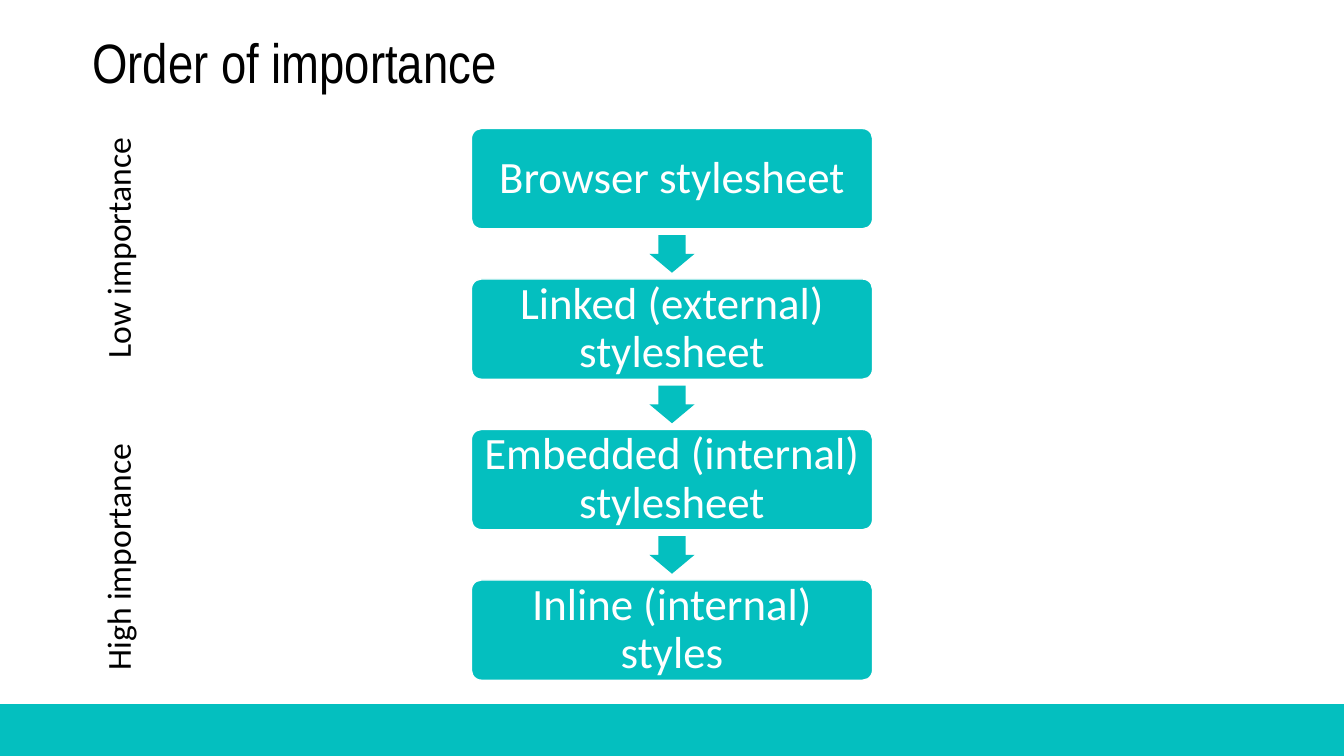
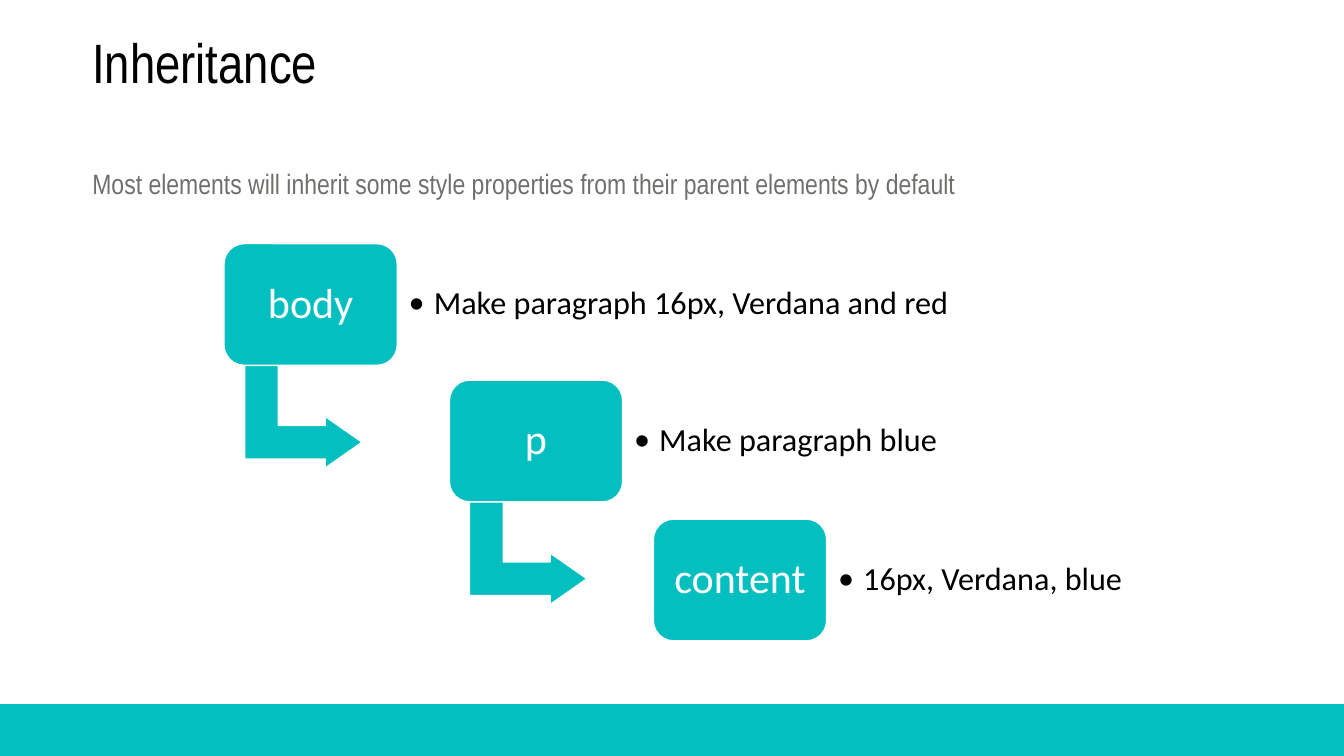
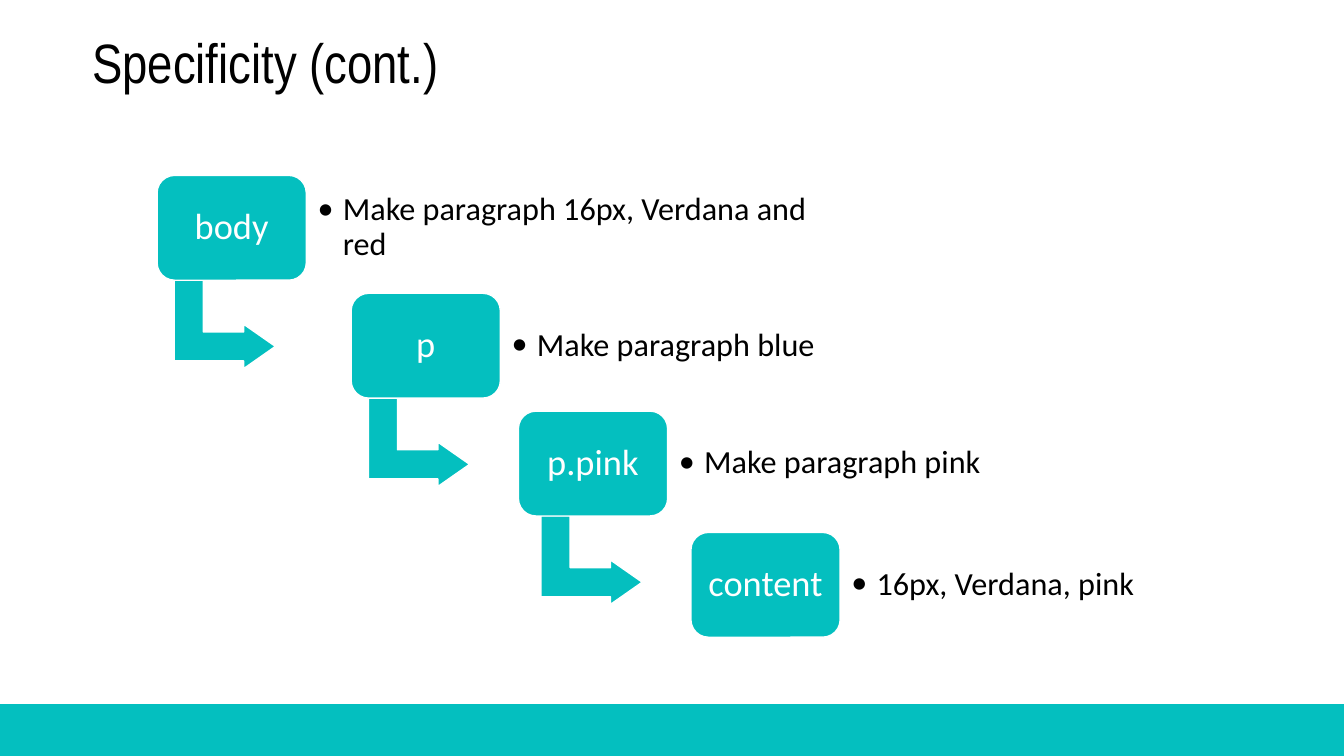
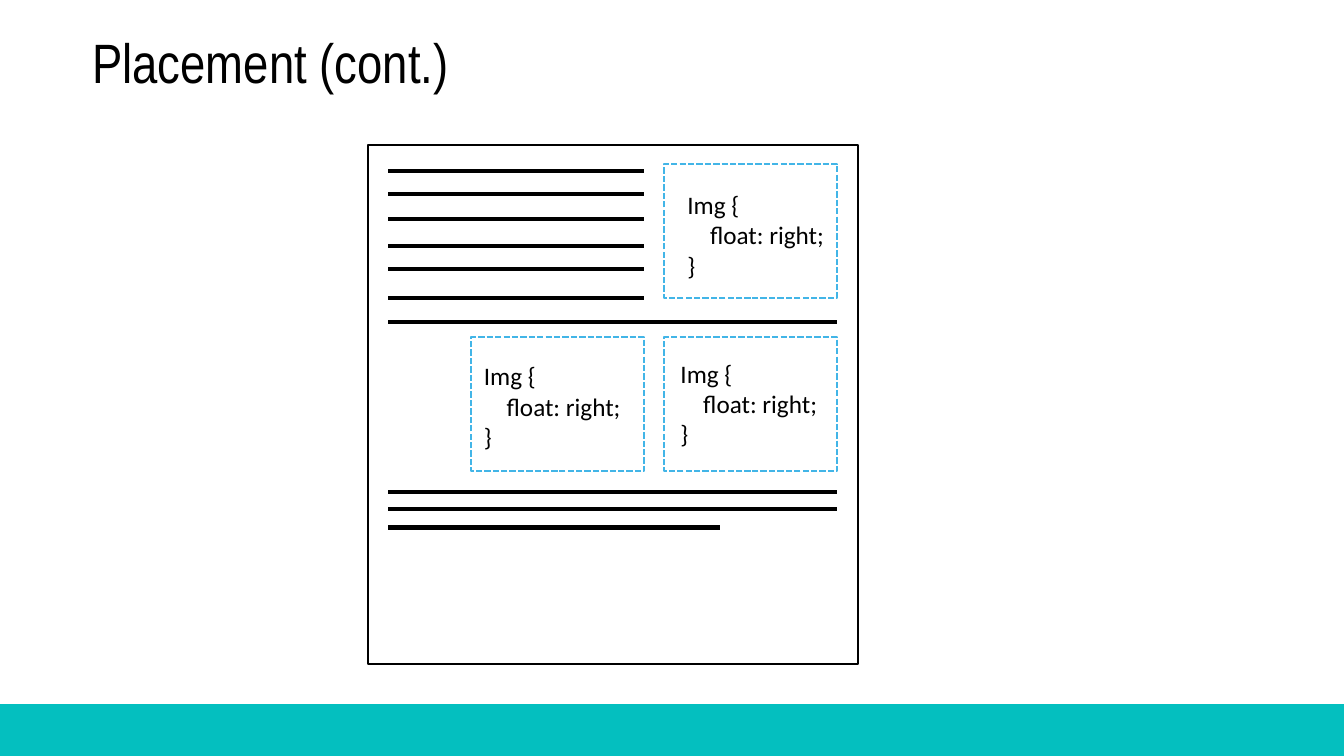
"""Build four slides on stylesheet order, inheritance, specificity and placement."""
from lxml import etree
from pptx import Presentation
from pptx.dml.color import RGBColor
from pptx.enum import dml, shapes, text
from pptx.oxml import ns
from pptx.util import Pt

TEAL = RGBColor(0x04, 0xBF, 0xBF)
SKY = RGBColor(0x42, 0xB5, 0xE7)
GREY = RGBColor(0x6F, 0x6F, 0x6C)
BLACK = RGBColor(0, 0, 0)
WHITE = RGBColor(255, 255, 255)
HEAD, BODY = "Arial Narrow", "Calibri"
KIND, ALIGN, ANCHOR = shapes.MSO_SHAPE, text.PP_ALIGN, text.MSO_ANCHOR

ORDER = ["Browser stylesheet", "Linked (external) stylesheet",
         "Embedded (internal) stylesheet", "Inline (internal) styles"]
SCALE = [("Low importance", 91.4, 190.8, ALIGN.RIGHT),
         ("High importance", 281.5, 204.5, ALIGN.LEFT)]
INTRO = ("Most elements will inherit some style properties "
         "from their parent elements by default")

STEP = ("label", "note", "left", "top", "span", "mid")
INHERIT = [("body", "Make paragraph 16px, Verdana and red", 160, 174, 446, 216.7),
           ("p", "Make paragraph blue", 321, 271.5, 339, 377.3),
           ("content", "16px, Verdana, blue", 466.7, 370.8, 300, None)]
SPECIFIC = [("body", "Make paragraph 16px, Verdana and red", 112.2, 125.3, 384, 160.6),
            ("p", "Make paragraph blue", 250.8, 209.5, 292, 299.3),
            ("p.pink", "Make paragraph pink", 370.3, 293.7, 302, 422.6),
            ("content", "16px, Verdana, pink", 493.5, 380.3, 258, None)]

CODE = "Img {\n    float: right;\n}"
EDGE, SPLIT, FAR, LAST = 277.2, 460.1, 598, 514.1
RULES = [(SPLIT, (121.9, 138.4, 156.2, 175.7, 192.2, 212.6)),
         (FAR, (229.9, 351.4, 363.6)), (LAST, (376.8,))]
FRAME = ("left", "top", "code left", "code top")
FLOATS = [(474.5, 117, 483.9, 131.7), (474.5, 241, 479, 252.2),
          (336.7, 241, 338.6, 254)]


def write(shape, words, size=18, face=BODY, color=BLACK, align=ALIGN.LEFT,
          anchor=ANCHOR.TOP, inset=(7.2, 3.6, 7.2, 3.6), lead=None, dot=False, vert=None):
    """Put formatted text into a shape."""
    frame = shape.text_frame
    frame.word_wrap = True
    frame.vertical_anchor = anchor
    (frame.margin_left, frame.margin_top,
     frame.margin_right, frame.margin_bottom) = map(Pt, inset)
    if vert:
        shape.element.find(".//" + ns.qn("a:bodyPr")).set("vert", vert)
    for i, line in enumerate(words.split("\n")):
        para = frame.add_paragraph() if i else frame.paragraphs[0]
        if dot:
            props = para._p.get_or_add_pPr()
            props.set("marL", str(Pt(18)))
            props.set("indent", str(-Pt(18)))
            etree.SubElement(props, ns.qn("a:buFont")).set("typeface", BODY)
            etree.SubElement(props, ns.qn("a:buChar")).set("char", "•")
        para.alignment = align
        if lead:
            para.line_spacing = lead
        run = para.add_run()
        run.text = line
        run.font.size, run.font.name = Pt(size), face
        run.font.color.rgb = color


def label(slide, words, area, **style):
    """Add a text box."""
    write(slide.shapes.add_textbox(*map(Pt, area)), words, **style)


def block(slide, kind, area, fill=None, line=None, width=1, dash=None, adj=(), turn=0):
    """Add a preset shape."""
    shape = slide.shapes.add_shape(kind, *map(Pt, area))
    shape.shadow.inherit = False
    shape.rotation = turn
    for i, part in enumerate(adj):
        shape.adjustments[i] = part
    if fill is None:
        shape.fill.background()
    else:
        shape.fill.solid()
        shape.fill.fore_color.rgb = fill
    if line is None:
        shape.line.fill.background()
    else:
        shape.line.color.rgb = line
        shape.line.width = Pt(width)
        shape.line.dash_style = dash
    return shape


def rule(slide, left, right, y):
    """Add a thick horizontal line."""
    line = slide.shapes.add_connector(shapes.MSO_CONNECTOR.STRAIGHT,
                                      Pt(left), Pt(y), Pt(right), Pt(y))
    line.line.color.rgb = BLACK
    line.line.width = Pt(3)
    etree.SubElement(line.element.spPr, ns.qn("a:effectLst"))


def page(deck, title):
    """Add a slide with the shared band and title."""
    slide = deck.slides.add_slide(deck.slide_layouts[6])
    block(slide, KIND.RECTANGLE, (0, 503.3, 960, 36.7), TEAL, TEAL)
    label(slide, title, (66, 25.9, 731.5, 46.1), size=39.6, face=HEAD,
          anchor=ANCHOR.BOTTOM, inset=(0, 3.6, 7.2, 3.6), lead=0.9)
    return slide


def chain(slide):
    """Draw the column of boxes joined by arrows."""
    wide, high, top, pitch, mid = 286.6, 71.6, 91.8, 107.5, 480
    long, thick = 26.9, 32.2
    for i, words in enumerate(ORDER):
        y = top + i * pitch
        box = block(slide, KIND.ROUNDED_RECTANGLE, (mid - wide / 2, y, wide, high),
                    TEAL, WHITE, adj=[0.1])
        write(box, words, size=32, color=WHITE, align=ALIGN.CENTER,
              anchor=ANCHOR.MIDDLE, inset=(5, 0, 5, 0), lead=0.9)
        if i < len(ORDER) - 1:
            gap = y + (high + pitch) / 2
            block(slide, KIND.RIGHT_ARROW, (mid - long / 2, gap - thick / 2, long, thick),
                  TEAL, adj=[0.6, 0.5], turn=90)
    for words, y, tall, align in SCALE:
        label(slide, words, (66, y, 43.6, tall), size=24, align=align, vert="vert270")


def stairs(slide, steps, wide, high, size):
    """Draw boxes stepping down, each with a bullet note."""
    for step in steps:
        words, note, x, y, span, mid = (dict(zip(STEP, step))[key] for key in STEP)
        if mid:
            short, tall = 0.594 * wide, 0.678 * wide
            block(slide, KIND.BENT_UP_ARROW,
                  (mid - short / 2, y + 1.42 * high - tall / 2, short, tall),
                  TEAL, WHITE, adj=[0.328, 0.25, 0.358], turn=90)
        box = block(slide, KIND.ROUNDED_RECTANGLE, (x, y, wide, high),
                    TEAL, WHITE, adj=[0.167])
        write(box, words, size=size, color=WHITE, align=ALIGN.CENTER,
              anchor=ANCHOR.MIDDLE, lead=0.9)
        label(slide, note, (x + wide + 1, y, span, high), size=23,
              anchor=ANCHOR.MIDDLE, lead=0.9, dot=True)


def layout(slide):
    """Draw the page sketch with floated frames."""
    block(slide, KIND.RECTANGLE, (262.8, 103.7, 349.9, 370.8), line=BLACK, width=1.5)
    for right, rows in RULES:
        for y in rows:
            rule(slide, EDGE, right, y)
    for spot in FLOATS:
        x, y, left, top = (dict(zip(FRAME, spot))[key] for key in FRAME)
        block(slide, KIND.RECTANGLE, (x, y, 123.5, 95.6), line=SKY, width=1.5,
              dash=dml.MSO_LINE.SQUARE_DOT)
        label(slide, CODE, (left, top, 136, 72.7))


def main():
    """Build and save the deck."""
    deck = Presentation()
    deck.slide_width, deck.slide_height = Pt(960), Pt(540)
    chain(page(deck, "Order of importance"))
    slide = page(deck, "Inheritance")
    label(slide, INTRO, (66, 92, 828, 81.4), size=20, face=HEAD, color=GREY,
          anchor=ANCHOR.MIDDLE, inset=(0, 3.6, 7.2, 3.6), lead=0.9)
    stairs(slide, INHERIT, 123.8, 87, 30)
    stairs(page(deck, "Specificity (cont.)"), SPECIFIC, 106.6, 74.9, 26)
    layout(page(deck, "Placement (cont.)"))
    deck.save("out.pptx")


if __name__ == "__main__":
    main()
